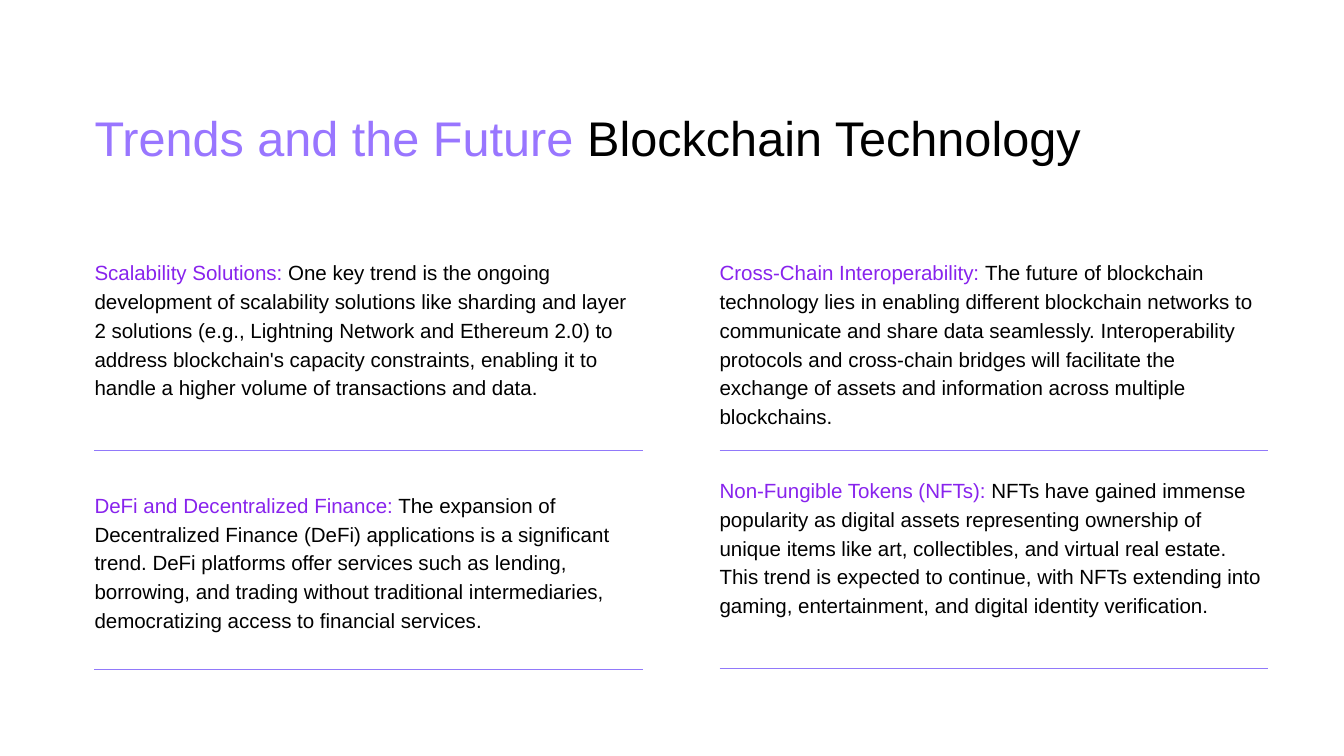
from lxml import etree
from pptx import Presentation
from pptx import util as u
from pptx.dml.color import RGBColor
from pptx.enum import shapes, text
from pptx.oxml.ns import qn

PX = 9525  # EMU per px, 96 px to the inch
COLORS = {"title": "9976FF", "heading": "8823ED", "body": "000000",
          "rule": "9179FA", "background": "FFFFFF"}
LEFT, RIGHT, COLUMN_W = 135, 1028, 784

# left, text top, text height, rule y, heading, body
TRENDS = [
    (LEFT, 366, 243, 644, "Scalability Solutions: ",
     "One key trend is the ongoing development of scalability solutions like "
     "sharding and layer 2 solutions (e.g., Lightning Network and Ethereum 2.0) "
     "to address blockchain's capacity constraints, enabling it to handle a "
     "higher volume of transactions and data."),
    (LEFT, 698, 203, 956, "DeFi and Decentralized Finance:",
     " The expansion of Decentralized Finance (DeFi) applications is a "
     "significant trend. DeFi platforms offer services such as lending, "
     "borrowing, and trading without traditional intermediaries, "
     "democratizing access to financial services."),
    (RIGHT, 366, 243, 644, "Cross-Chain Interoperability: ",
     "The future of blockchain technology lies in enabling different blockchain "
     "networks to communicate and share data seamlessly. Interoperability "
     "protocols and cross-chain bridges will facilitate the exchange of assets "
     "and information across multiple blockchains."),
    (RIGHT, 677, 243, 955, "Non-Fungible Tokens (NFTs):",
     " NFTs have gained immense popularity as digital assets representing "
     "ownership of unique items like art, collectibles, and virtual real estate. "
     "This trend is expected to continue, with NFTs extending into gaming, "
     "entertainment, and digital identity verification."),
]


class SlideBuilder:
    def __init__(self, slide, font="Arial"):
        self.s = slide
        self.font = font

    def color(self, name):
        return RGBColor.from_string(COLORS[name])

    def background(self, name):
        fill = self.s.background.fill
        fill.solid()
        fill.fore_color.rgb = self.color(name)

    def textbox(self, x, y, w, h, runs, size, leading):
        """Add one paragraph made of (text, colour name) runs."""
        sp = self.s.shapes.add_textbox(x * PX, y * PX, w * PX, h * PX)
        tf = sp.text_frame
        tf.margin_left = tf.margin_top = tf.margin_right = tf.margin_bottom = 0
        tf.word_wrap = True
        tf.auto_size = text.MSO_AUTO_SIZE.SHAPE_TO_FIT_TEXT
        p = tf.paragraphs[0]
        p.line_spacing = u.Pt(leading)
        for words, color in runs:
            r = p.add_run()
            r.text = words
            r.font.name = self.font
            r.font.size = u.Pt(size)
            r.font.color.rgb = self.color(color)

    def rule(self, x, y, w):
        line = self.s.shapes.add_connector(
            shapes.MSO_CONNECTOR.STRAIGHT, x * PX, y * PX, (x + w) * PX, y * PX)
        line.line.color.rgb = self.color("rule")
        line.line.width = u.Pt(0.75)
        etree.SubElement(line._element.spPr, qn("a:effectLst"))


def main():
    prs = Presentation()
    prs.slide_width, prs.slide_height = 1920 * PX, 1080 * PX
    b = SlideBuilder(prs.slides.add_slide(prs.slide_layouts[6]))
    b.background("background")
    b.textbox(LEFT, 141, 1647, 92,
              [("Trends and the Future", "title"),
               (" Blockchain Technology", "body")], 52.1, 72.9)
    for x, y, h, rule_y, heading, body in TRENDS:
        b.textbox(x, y, COLUMN_W, h,
                  [(heading, "heading"), (body, "body")], 22, 30.8)
        b.rule(x, rule_y, COLUMN_W)
    prs.save("out.pptx")


if __name__ == "__main__":
    main()
